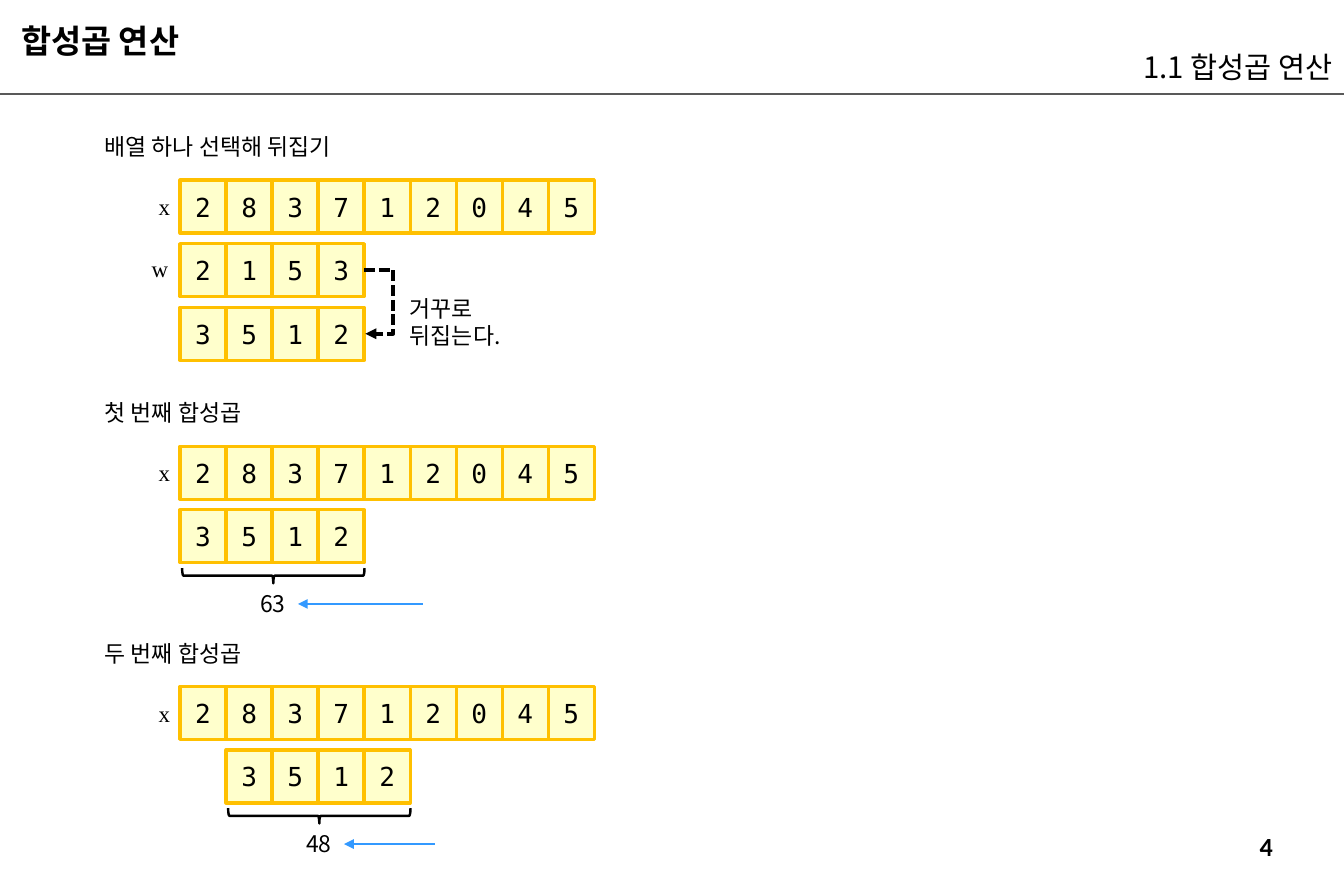
from lxml import etree
from pptx import Presentation
from pptx.dml.color import RGBColor
from pptx.enum.dml import MSO_LINE
from pptx.enum.shapes import MSO_CONNECTOR, MSO_SHAPE
from pptx.enum.text import MSO_ANCHOR, PP_ALIGN
from pptx.oxml.ns import qn
from pptx.util import Inches, Pt

RECT, BRACE = MSO_SHAPE.RECTANGLE, MSO_SHAPE.RIGHT_BRACE
LINE, ELBOW = MSO_CONNECTOR.STRAIGHT, MSO_CONNECTOR.ELBOW
TOP, MID, LOW = MSO_ANCHOR.TOP, MSO_ANCHOR.MIDDLE, MSO_ANCHOR.BOTTOM
LEFT, MIDST, RIGHT = PP_ALIGN.LEFT, PP_ALIGN.CENTER, PP_ALIGN.RIGHT
DASH = MSO_LINE.SQUARE_DOT

HUES = {"ink": "000000", "rule": "595959", "cell": "FFFFCC", "edge": "FFC000", "mark": "3399FF"}
SANS, MONO, SERIF, HEAD = "Noto Sans CJK KR", "DejaVu Sans Mono", "Times New Roman", "Calibri"

WIDE, HIGH = 11.42, 7.5
COL, ROW, TALL = 3.52 / 9, 0.54, 0.45
GRID_X, GRID_Y = 0.74, 0.45
ARRAY = "283712045"
FLIP = "3512"


def hue(name):
    """Return the named colour."""
    return RGBColor.from_string(HUES[name])


def write(shape, text, size, font, align=LEFT, anchor=TOP, bold=False, wrap=False, inset=0.05):
    """Put one formatted run into a shape."""
    frame = shape.text_frame
    frame.word_wrap = wrap
    frame.vertical_anchor = anchor
    frame.margin_left = frame.margin_right = Inches(0.1)
    frame.margin_top = frame.margin_bottom = Inches(inset)
    para = frame.paragraphs[0]
    para.alignment = align
    run = para.add_run()
    run.text = text
    run.font.size, run.font.name, run.font.bold = Pt(size), font, bold
    run.font.color.rgb = hue("ink")
    east = etree.SubElement(run.font._element, qn("a:ea"))
    east.set("typeface", SANS)


def label(slide, box, text, size=14, font=SANS, **style):
    """Add a text box."""
    write(slide.shapes.add_textbox(*map(Inches, box)), text, size, font, **style)


def link(slide, start, end, name, width, kind=LINE, head=True):
    """Add a line, with an arrowhead at its end if asked."""
    line = slide.shapes.add_connector(kind, *map(Inches, (*start, *end)))
    line.line.color.rgb = hue(name)
    line.line.width = Pt(width)
    if head:
        etree.SubElement(line.line._get_or_add_ln(), qn("a:tailEnd")).set("type", "triangle")
    etree.SubElement(line._element.spPr, qn("a:effectLst"))
    return line


def cells(slide, left, top, digits):
    """Draw a row of digits in boxes."""
    for i, digit in enumerate(digits):
        box = (left + i * COL, top, COL, TALL)
        cell = slide.shapes.add_shape(RECT, *map(Inches, box))
        cell.shadow.inherit = False
        cell.fill.solid()
        cell.fill.fore_color.rgb = hue("cell")
        cell.line.color.rgb = hue("edge")
        cell.line.width = Pt(2)
        write(cell, digit, 16, MONO, MIDST, MID)


def block(slide, left, top, title):
    """Draw a caption with the array x below it and return the grid corner."""
    label(slide, (left, top, 2.16, 0.34), title, wrap=True)
    x, y = left + GRID_X, top + GRID_Y
    cells(slide, x, y, ARRAY)
    label(slide, (x - 0.28, y + 0.06, 0.3, 0.34), "x", font=SERIF)
    return x, y


def flip(slide, left, top):
    """Draw the block that reverses the array w."""
    x, y = block(slide, left, top, "배열 하나 선택해 뒤집기")
    cells(slide, x, y + ROW, "2153")
    cells(slide, x, y + 2 * ROW, FLIP)
    label(slide, (x - 0.34, y + 0.58, 0.36, 0.34), "w", font=SERIF)
    edge, mid = x + 4 * COL, y + ROW + TALL / 2
    bend = link(slide, (edge, mid), (edge + 0.01, mid + ROW), "ink", 2.25, ELBOW)
    bend.line.dash_style = DASH
    guide = etree.SubElement(bend._element.spPr.prstGeom.get_or_add_avLst(), qn("a:gd"))
    guide.set("name", "adj1")
    guide.set("fmla", "val 2500000")
    label(slide, (edge + 0.29, y + 0.92, 1.36, 0.57), "거꾸로 뒤집는다.", wrap=True)


def product(slide, left, top, title, shift, total, tail):
    """Draw one product step with its brace, total and arrow."""
    x, y = block(slide, left, top, title)
    x += shift * COL
    cells(slide, x, y + ROW, FLIP)
    mid, thin, span = x + 2 * COL + 0.01, 0.13, 1.55
    box = (mid - thin / 2, y + 1.1 - span / 2, thin, span)
    brace = slide.shapes.add_shape(BRACE, *map(Inches, box))
    brace.rotation = 90
    brace.shadow.inherit = False
    brace.fill.background()
    brace.line.color.rgb = hue("ink")
    brace.line.width = Pt(1.5)
    label(slide, (mid - 0.21, y + 1.17, 0.42, 0.34), total)
    link(slide, (mid + 0.21 + tail, y + 1.34), (mid + 0.21, y + 1.34), "mark", 1)


def header(slide):
    """Set the title, the section name and the rule below them."""
    title = slide.shapes.title
    title.left, title.top, title.width, title.height = map(Inches, (0.08, 0.09, 6.48, 0.44))
    write(title, "합성곱 연산", 20, HEAD, anchor=LOW, bold=True, wrap=True, inset=0.02)
    label(slide, (WIDE - 5.31, 0.3, 5.31, 0.44), "1.1 합성곱 연산", 18,
          align=RIGHT, anchor=LOW, wrap=True, inset=0.02)
    link(slide, (0, 0.8), (WIDE, 0.8), "rule", 1.5, head=False)


def main():
    """Build the slide and save it."""
    deck = Presentation()
    deck.slide_width, deck.slide_height = Inches(WIDE), Inches(HIGH)
    slide = deck.slides.add_slide(deck.slide_layouts[5])
    header(slide)
    flip(slide, 0.79, 1.08)
    product(slide, 0.79, 3.34, "첫 번째 합성곱", 0, "63", 1.06)
    product(slide, 0.79, 5.38, "두 번째 합성곱", 1, "48", 0.77)
    label(slide, (10.26, 7, 1, 0.34), "4", 16, HEAD, align=MIDST, bold=True)
    deck.save("out.pptx")


if __name__ == "__main__":
    main()
